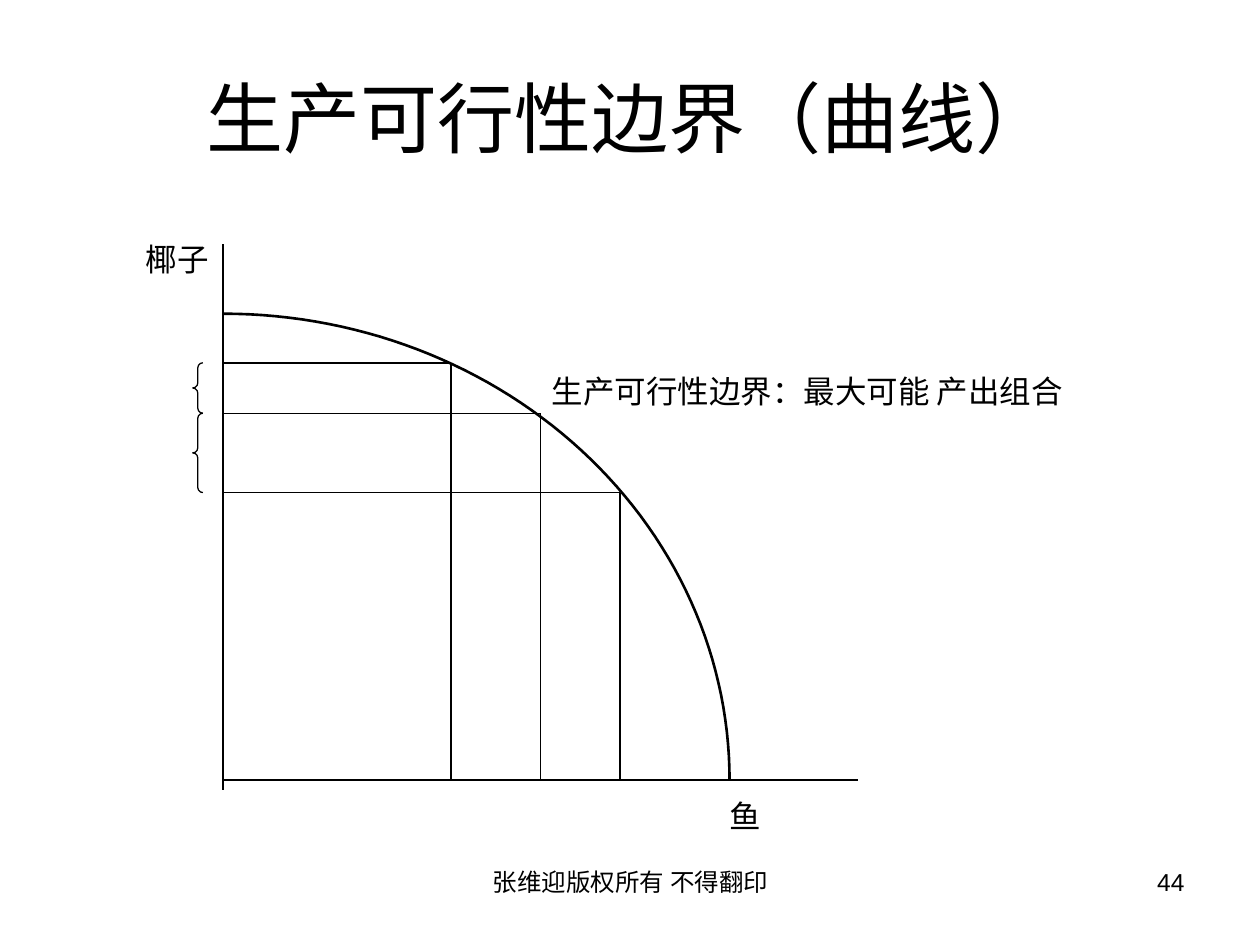
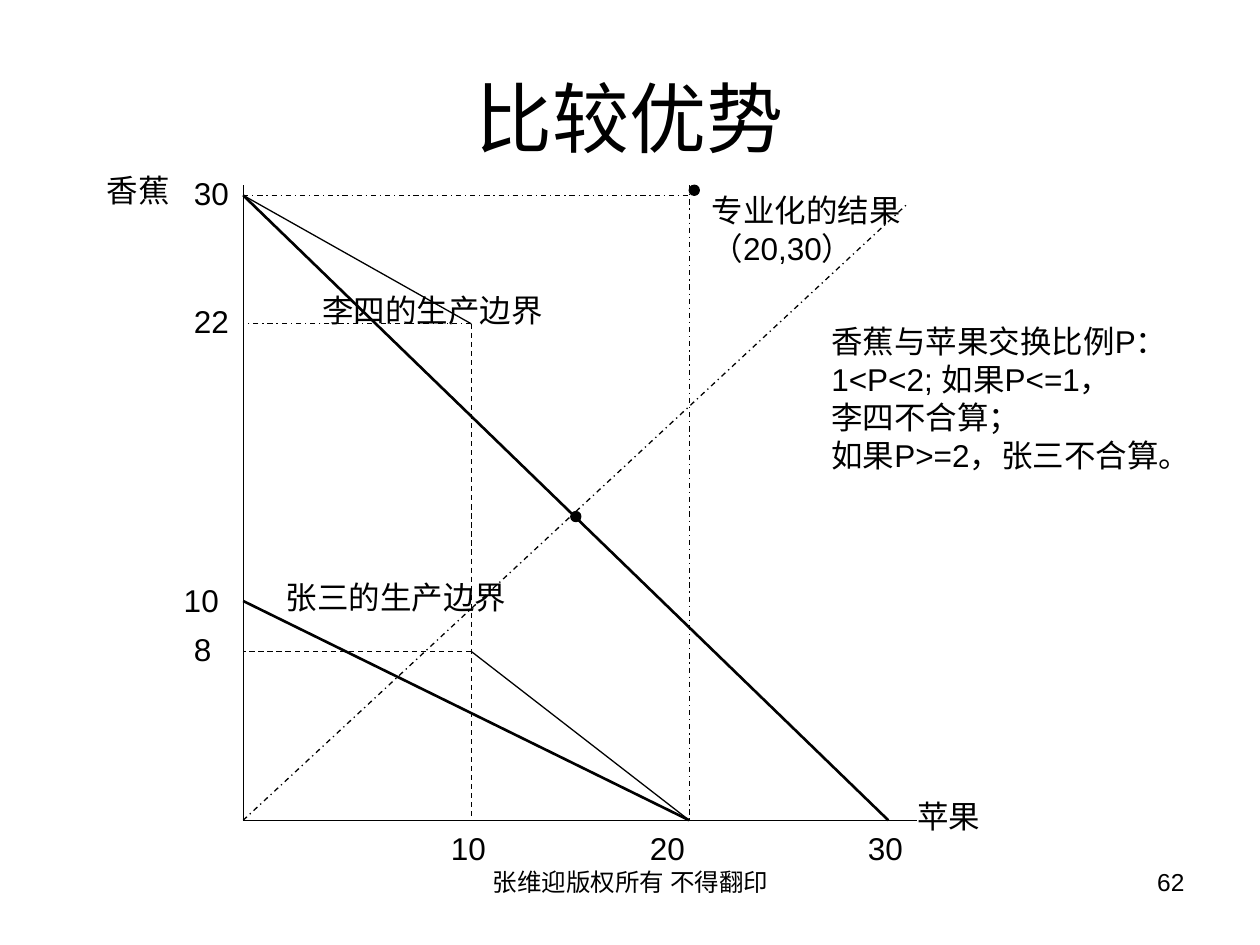
from math import cos, pi, sin
from typing import NamedTuple, Optional

from lxml.etree import SubElement
from pptx import Presentation
from pptx.dml.color import RGBColor
from pptx.enum.dml import MSO_LINE
from pptx.enum.shapes import MSO_CONNECTOR, MSO_SHAPE
from pptx.enum.text import MSO_ANCHOR, MSO_AUTO_SIZE, PP_ALIGN
from pptx.oxml.ns import qn
from pptx.util import Inches, Pt

COLORS = {"ink": "000000", "paper": "FFFFFF"}
FONT = "Arial"
THIN, THICK = 0.75, 1.5
DASH, DASH_DOT = MSO_LINE.DASH, MSO_LINE.DASH_DOT
FOOTER = "张维迎版权所有 不得翻印"


class Label(NamedTuple):
    text: str
    x: float
    y: float
    w: float
    h: float = 0.4


class Segment(NamedTuple):
    x1: float
    y1: float
    x2: float
    y2: float
    width: float = THIN
    dash: Optional[MSO_LINE] = None


def rgb(name: str) -> RGBColor:
    return RGBColor.from_string(COLORS[name])


def add_text(s, text: str, x: float, y: float, w: float, h: float, *, size: int = 18,
             align=PP_ALIGN.LEFT, anchor=MSO_ANCHOR.TOP, wrap: bool = True) -> None:
    tf = s.shapes.add_textbox(Inches(x), Inches(y), Inches(w), Inches(h)).text_frame
    tf.word_wrap = wrap
    tf.auto_size = MSO_AUTO_SIZE.NONE if wrap else MSO_AUTO_SIZE.SHAPE_TO_FIT_TEXT
    tf.vertical_anchor = anchor
    for i, line in enumerate(text.split("\n")):
        p = tf.paragraphs[0] if i == 0 else tf.add_paragraph()
        p.alignment = align
        r = p.add_run()
        r.text = line
        r.font.name = FONT
        r.font.size = Pt(size)
        r.font.color.rgb = rgb("ink")


def add_label(s, label: Label) -> None:
    add_text(s, label.text, label.x, label.y, label.w, label.h, wrap=False)


def style_line(line, width: float) -> None:
    line.color.rgb = rgb("ink")
    line.width = Pt(width)


def add_segment(s, seg: Segment) -> None:
    sp = s.shapes.add_connector(MSO_CONNECTOR.STRAIGHT, Inches(seg.x1), Inches(seg.y1),
                                Inches(seg.x2), Inches(seg.y2))
    style_line(sp.line, seg.width)
    if seg.dash is not None:
        sp.line.dash_style = seg.dash
    SubElement(sp._element.spPr, qn("a:effectLst"))


def add_dot(s, x: float, y: float, size: float = 0.08) -> None:
    sp = s.shapes.add_shape(MSO_SHAPE.OVAL, Inches(x), Inches(y), Inches(size), Inches(size))
    sp.shadow.inherit = False
    sp.fill.solid()
    sp.fill.fore_color.rgb = rgb("ink")
    style_line(sp.line, THIN)


def add_brace(s, x: float, top: float, bottom: float, w: float = 0.08) -> None:
    sp = s.shapes.add_shape(MSO_SHAPE.LEFT_BRACE, Inches(x), Inches(top),
                            Inches(w), Inches(bottom - top))
    sp.adjustments[0] = 0.5
    sp.shadow.inherit = False
    sp.fill.background()
    style_line(sp.line, THIN)


def add_quarter_ellipse(s, x: float, base: float, w: float, h: float, steps: int = 60) -> None:
    angles = [pi / 2 * i / steps for i in range(steps + 1)]
    points = [(Inches(x + w * sin(a)), Inches(base - h * cos(a))) for a in angles]
    builder = s.shapes.build_freeform(*points[0])
    builder.add_line_segments(points[1:], close=False)
    sp = builder.convert_to_shape()
    sp.shadow.inherit = False
    sp.fill.background()
    style_line(sp.line, THICK)


def new_slide(prs, title: str, number: int):
    s = prs.slides.add_slide(prs.slide_layouts[6])
    s.background.fill.solid()
    s.background.fill.fore_color.rgb = rgb("paper")
    add_text(s, FOOTER, 3.42, 6.83, 3.17, 0.52, size=14, align=PP_ALIGN.CENTER)
    add_text(s, str(number), 7.17, 6.83, 2.33, 0.52, size=14, align=PP_ALIGN.RIGHT)
    add_text(s, title, 0.5, 0.3, 9, 1.25, size=44, align=PP_ALIGN.CENTER,
             anchor=MSO_ANCHOR.MIDDLE)
    return s


def build_frontier(prs) -> None:
    s = new_slide(prs, "生产可行性边界（曲线）", 44)
    left, base = 1.77, 6.19
    outputs = [(3.58, 2.88), (4.29, 3.28), (4.92, 3.91)]
    add_segment(s, Segment(left, 1.94, left, 6.27))
    add_segment(s, Segment(left, base, 6.81, base))
    add_quarter_ellipse(s, left, base, 4.02, 3.7)
    for x, y in outputs:
        add_segment(s, Segment(x, y, x, base))
        add_segment(s, Segment(left, y, x, y))
    for (_, top), (_, bottom) in zip(outputs, outputs[1:]):
        add_brace(s, 1.53, top, bottom)
    for label in (
        Label("鱼", 5.69, 6.28, 0.45),
        Label("椰子", 1.06, 1.86, 0.7),
        Label("生产可行性边界：最大可能 产出组合", 4.28, 2.9, 4.35),
    ):
        add_label(s, label)


def build_advantage(prs) -> None:
    s = new_slide(prs, "比较优势", 62)
    left, base, top = 1.93, 6.51, 1.55
    x10, x20, x30 = 3.74, 5.47, 7.05
    y22, y10, y8 = 2.57, 4.77, 5.17
    for seg in (
        Segment(left, 1.47, left, base),
        Segment(left, base, 7.28, base),
        Segment(left, y10, x20, base, THICK),
        Segment(x30, base, left, top, THICK),
        Segment(left, top, x20, top, dash=DASH_DOT),
        Segment(x20, 1.47, x20, base, dash=DASH_DOT),
        Segment(left, base, 7.2, 1.62, dash=DASH_DOT),
        Segment(left, top, x10, y22),
        Segment(x20, base, x10, y8),
        Segment(x10, y22, x10, base, dash=DASH),
        Segment(x10, y22, left, y22, dash=DASH_DOT),
        Segment(x10, y8, left, y8, dash=DASH),
    ):
        add_segment(s, seg)
    add_dot(s, x20, 1.47)
    add_dot(s, 4.53, 4.06)
    for label in (
        Label("苹果", 7.18, 6.28, 0.7),
        Label("香蕉", 0.75, 1.31, 0.7),
        Label("张三的生产边界", 2.17, 4.54, 1.95),
        Label("李四的生产边界", 2.46, 2.26, 1.95),
        Label("专业化的结果\n（20,30）", 5.55, 1.47, 1.7, 0.7),
        Label("10", 3.48, 6.53, 0.48),
        Label("20", 5.06, 6.53, 0.48),
        Label("30", 6.79, 6.53, 0.48),
        Label("30", 1.44, 1.33, 0.48),
        Label("22", 1.44, 2.35, 0.48),
        Label("10", 1.36, 4.56, 0.48),
        Label("8", 1.44, 4.95, 0.34),
        Label("香蕉与苹果交换比例P：\n1<P<2; 如果P<=1，\n李四不合算；\n如果P>=2，张三不合算。",
              6.5, 2.51, 3.16, 1.6),
    ):
        add_label(s, label)


def main() -> None:
    prs = Presentation()
    prs.slide_width, prs.slide_height = Inches(10), Inches(7.5)
    build_frontier(prs)
    build_advantage(prs)
    prs.save("out.pptx")


if __name__ == "__main__":
    main()
